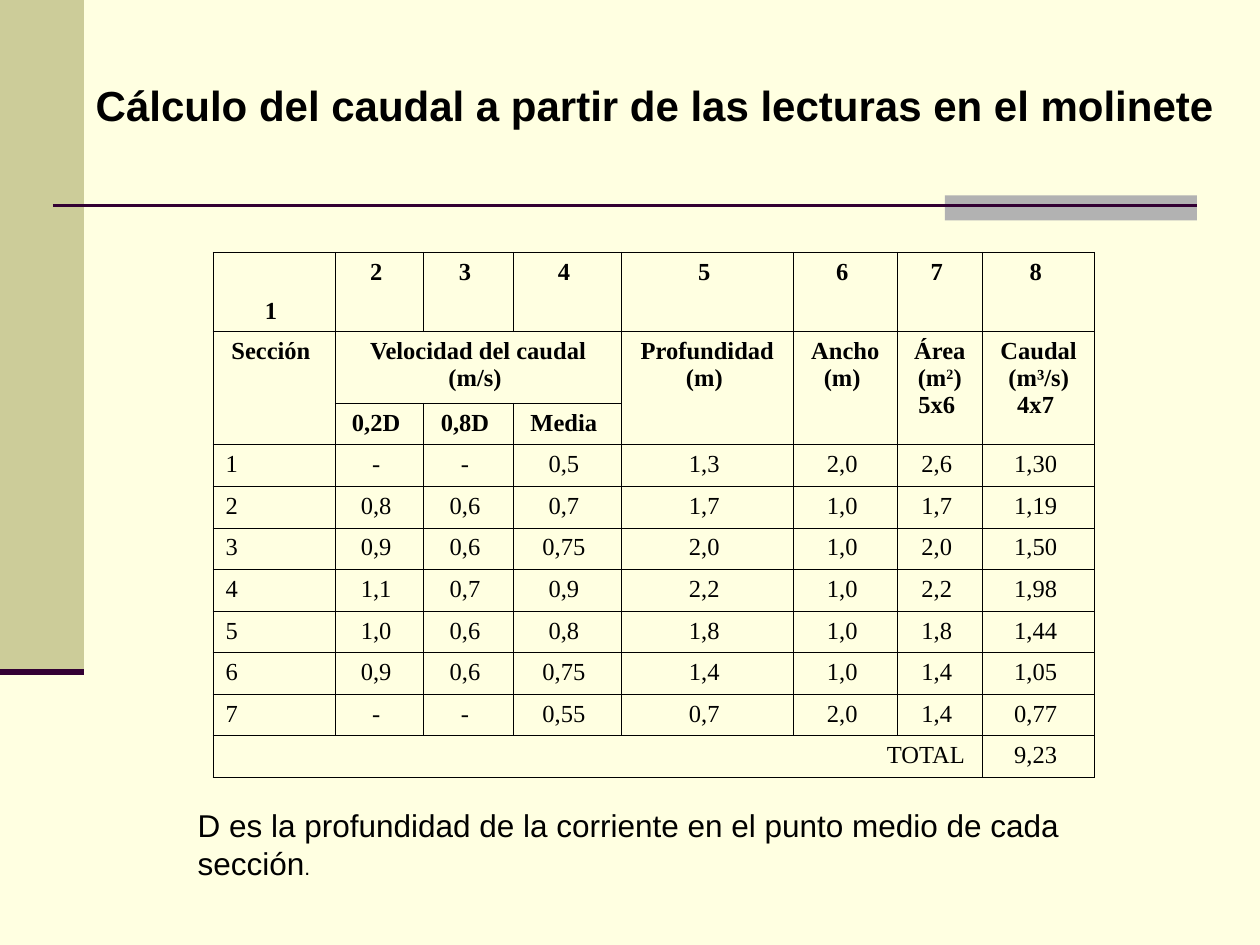
import pptx
import pptx.util
import pptx.dml.color
import pptx.enum.shapes
import pptx.enum.text
import pptx.oxml.ns
from lxml import etree

Inches = pptx.util.Inches
Pt = pptx.util.Pt
ALIGN = pptx.enum.text.PP_ALIGN
ANCHOR = pptx.enum.text.MSO_ANCHOR
qn = pptx.oxml.ns.qn

WIDTH, HEIGHT = 10, 7.5
CREAM, SAND, GREY, PLUM, BLACK = "FFFFE1", "CCCC99", "B2B2B2", "330033", "000000"
SIDEBAR = (WIDTH / 15, 5.33)

COLUMNS = [0.97, 0.7, 0.71, 0.86, 1.37, 0.82, 0.68, 0.89]
ROWS = [0.63, 0.57] + [0.33] * 9
HEADINGS = {  # (row, column): (text, rows spanned, columns spanned)
    (1, 0): ("Sección", 2, 1),
    (1, 1): ("Velocidad del caudal\n(m/s)", 1, 3),
    (1, 4): ("Profundidad\n(m)", 2, 1),
    (1, 5): ("Ancho\n(m)", 2, 1),
    (1, 6): ("Área\n(m^2^)\n5x6", 2, 1),
    (1, 7): ("Caudal\n(m³/s)\n4x7", 2, 1),
    (2, 1): ("0,2D", 1, 1),
    (2, 2): ("0,8D", 1, 1),
    (2, 3): ("Media", 1, 1),
}
READINGS = [
    "- - 0,5 1,3 2,0 2,6 1,30",
    "0,8 0,6 0,7 1,7 1,0 1,7 1,19",
    "0,9 0,6 0,75 2,0 1,0 2,0 1,50",
    "1,1 0,7 0,9 2,2 1,0 2,2 1,98",
    "1,0 0,6 0,8 1,8 1,0 1,8 1,44",
    "0,9 0,6 0,75 1,4 1,0 1,4 1,05",
    "- - 0,55 0,7 2,0 1,4 0,77",
]


def rgb(color):
    return pptx.dml.color.RGBColor.from_string(color)


def add_text(p, text, size=14, font="Times New Roman", bold=False, color=BLACK):
    """Append text to a paragraph; newlines break the line, ^x^ is raised."""
    for i, line in enumerate(text.split("\n")):
        if i:
            p.add_line_break()
        for j, part in enumerate(line.split("^")):
            r = p.add_run()
            r.text = part
            r.font.size, r.font.name, r.font.bold = Pt(size), font, bold
            r.font.color.rgb = rgb(color)
            if j % 2:
                r.font._element.set("baseline", "30000")


def place_box(sp, left, top, width, height):
    """Set the frame of a text shape and return its first paragraph."""
    sp.left, sp.top = Inches(left), Inches(top)
    sp.width, sp.height = Inches(width), Inches(height)
    tf = sp.text_frame
    tf.word_wrap = True
    tf.auto_size = pptx.enum.text.MSO_AUTO_SIZE.NONE
    tf.vertical_anchor = ANCHOR.MIDDLE
    p = tf.paragraphs[0]
    p.alignment = ALIGN.LEFT
    return p


def add_bar(s, left, top, width, height, color):
    sp = s.shapes.add_shape(pptx.enum.shapes.MSO_SHAPE.RECTANGLE,
                            Inches(left), Inches(top), Inches(width), Inches(height))
    sp.shadow.inherit = False
    sp.fill.solid()
    sp.fill.fore_color.rgb = rgb(color)
    sp.line.fill.background()


def add_rule(s, left, right, y, weight):
    line = s.shapes.add_connector(pptx.enum.shapes.MSO_CONNECTOR.STRAIGHT,
                                  Inches(left), Inches(y), Inches(right), Inches(y))
    line.line.color.rgb = rgb(PLUM)
    line.line.width = Pt(weight)
    etree.SubElement(line._element.spPr, qn("a:effectLst"))


def set_borders(cell, color=BLACK, weight=0.34):
    tcPr = cell._tc.get_or_add_tcPr()
    for i, side in enumerate(("lnL", "lnR", "lnT", "lnB")):
        ln = etree.Element(qn("a:" + side), w=str(Pt(weight)))
        fill = etree.SubElement(ln, qn("a:solidFill"))
        etree.SubElement(fill, qn("a:srgbClr"), val=color)
        tcPr.insert(i, ln)


def fill_cell(cell, text, align=ALIGN.CENTER, bold=False):
    p = cell.text_frame.paragraphs[0]
    p.alignment = align
    # The figures sit half a space left of the column's centre.
    add_text(p, text if align == ALIGN.LEFT else text + " ", bold=bold)


def add_flow_table(s, left, top):
    table = s.shapes.add_table(len(ROWS), len(COLUMNS), Inches(left), Inches(top),
                               Inches(sum(COLUMNS)), Inches(sum(ROWS))).table
    table.first_row = table.horz_banding = False
    for column, width in zip(table.columns, COLUMNS):
        column.width = Inches(width)
    for row, height in zip(table.rows, ROWS):
        row.height = Inches(height)
    for cell in table.iter_cells():
        cell.fill.background()
        set_borders(cell)

    for c in range(len(COLUMNS)):
        fill_cell(table.cell(0, c), str(c + 1), bold=True)
    table.cell(0, 0).vertical_anchor = ANCHOR.BOTTOM

    for (r, c), (text, down, across) in HEADINGS.items():
        cell = table.cell(r, c)
        if down * across > 1:
            cell.merge(table.cell(r + down - 1, c + across - 1))
        fill_cell(cell, text, bold=True)

    for i, reading in enumerate(READINGS, 1):
        fill_cell(table.cell(i + 2, 0), str(i), align=ALIGN.LEFT)
        for c, value in enumerate(reading.split(), 1):
            fill_cell(table.cell(i + 2, c), value)

    last_row, last_column = len(ROWS) - 1, len(COLUMNS) - 1
    total = table.cell(last_row, 0)
    total.merge(table.cell(last_row, last_column - 1))
    fill_cell(total, "TOTAL", align=ALIGN.RIGHT)
    fill_cell(table.cell(last_row, last_column), "9,23")


def main():
    prs = pptx.Presentation()
    prs.slide_width, prs.slide_height = Inches(WIDTH), Inches(HEIGHT)
    s = prs.slides.add_slide(prs.slide_layouts[5])
    s.background.fill.solid()
    s.background.fill.fore_color.rgb = rgb(CREAM)

    add_bar(s, 0, 0, *SIDEBAR, SAND)
    add_bar(s, 0.75 * WIDTH, 1.55, 0.2 * WIDTH, 0.2, GREY)
    add_rule(s, 0.42, 0.95 * WIDTH, 1.63, 1.5)
    add_rule(s, 0, *SIDEBAR, 3.5)

    p = place_box(s.shapes.title, 0.66, 0.58, 9.17, 0.5)
    add_text(p, "Cálculo del caudal a partir de las lecturas en el molinete",
             size=24, font="Arial", bold=True)

    add_flow_table(s, 1.69, 2)

    p = place_box(s.shapes.add_textbox(0, 0, 0, 0), 1.47, 6.5, 7.98, 0.4)
    add_text(p, "D es la profundidad de la corriente en el punto medio de cada sección",
             size=18, font="Arial")
    add_text(p, ".", size=12, font="Arial")

    prs.save("out.pptx")


if __name__ == "__main__":
    main()
